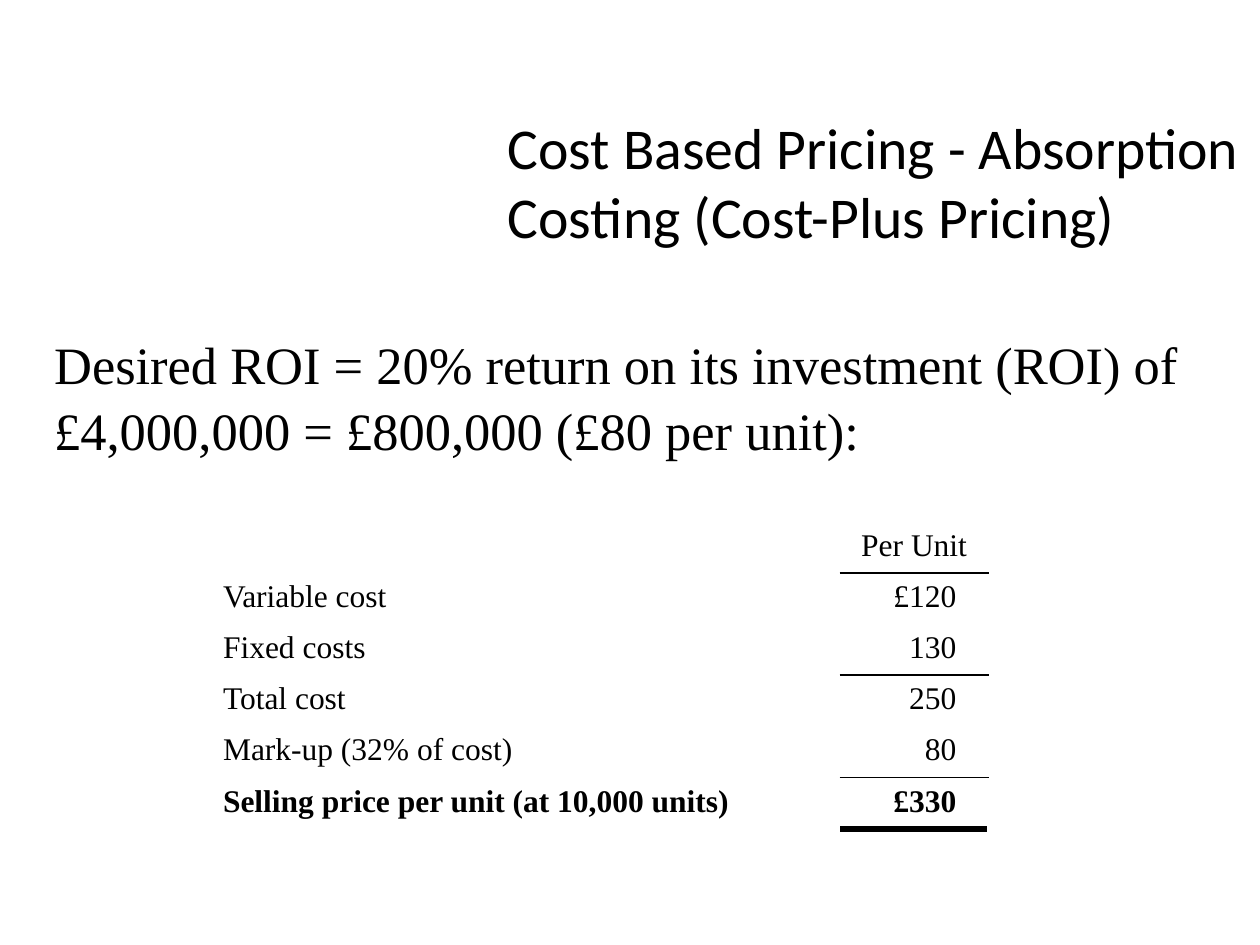
from dataclasses import dataclass

from lxml.etree import SubElement
from pptx import Presentation
from pptx.dml.color import RGBColor
from pptx.enum.text import MSO_ANCHOR, MSO_AUTO_SIZE, PP_ALIGN
from pptx.oxml.ns import qn
from pptx.util import Inches, Pt

COLOURS = {"ink": "000000"}
SERIF = "Times New Roman"


@dataclass(frozen=True)
class CostRow:
    label: str
    amount: str
    ruled_below: bool = False
    bold: bool = False


COSTS = [
    CostRow("", "Per Unit", ruled_below=True),
    CostRow("Variable cost", "£120"),
    CostRow("Fixed costs", "130", ruled_below=True),
    CostRow("Total cost", "250"),
    CostRow("Mark-up (32% of cost)", "80", ruled_below=True),
    CostRow("Selling price per unit (at 10,000 units)", "£330", bold=True),
]


def write(frame, text: str, *, size: float, font: str = SERIF, bold: bool = False,
          align=PP_ALIGN.LEFT, spacing: float = 1.0) -> None:
    paragraph = frame.paragraphs[0]
    paragraph.alignment = align
    paragraph.line_spacing = spacing
    paragraph.space_before = Pt(0)
    run = paragraph.add_run()
    run.text = text
    run.font.size = Pt(size)
    run.font.name = font
    run.font.bold = bold
    run.font.color.rgb = RGBColor.from_string(COLOURS["ink"])


def place(holder, left: float, top: float, width: float, height: float, anchor) -> None:
    holder.left, holder.top = Inches(left), Inches(top)
    holder.width, holder.height = Inches(width), Inches(height)
    frame = holder.text_frame
    frame.word_wrap = True
    frame.auto_size = MSO_AUTO_SIZE.NONE
    frame.vertical_anchor = anchor


def rule_cell(cell, side: str) -> None:
    edge = SubElement(cell._tc.get_or_add_tcPr(), qn(f"a:ln{side}"), w=str(Pt(1)))
    fill = SubElement(edge, qn("a:solidFill"))
    SubElement(fill, qn("a:srgbClr"), val=COLOURS["ink"])


def draw_costs(slide, costs: list[CostRow]) -> None:
    table = slide.shapes.add_table(len(costs), 2, Inches(1.67), Inches(4.14),
                                   Inches(6.17), Inches(2.44)).table
    table.first_row = table.horz_banding = False
    table.columns[0].width, table.columns[1].width = Inches(5), Inches(1.17)
    for index, cost in enumerate(costs):
        label, amount = table.cell(index, 0), table.cell(index, 1)
        if index and costs[index - 1].ruled_below:
            rule_cell(amount, "T")
        if cost.ruled_below:
            rule_cell(amount, "B")
        for cell in (label, amount):
            cell.fill.background()
        if cost.label:
            write(label.text_frame, cost.label, size=18, bold=cost.bold)
        if index:
            amount.margin_right = Inches(0.25)
        write(amount.text_frame, cost.amount, size=18, bold=cost.bold,
              align=PP_ALIGN.RIGHT if index else PP_ALIGN.CENTER)


def draw_line(slide, left: float, right: float, top: float, weight: float) -> None:
    line = slide.shapes.add_connector(1, Inches(left), Inches(top), Inches(right), Inches(top))
    line.line.color.rgb = RGBColor.from_string(COLOURS["ink"])
    line.line.width = Pt(weight)
    SubElement(line._element.spPr, qn("a:effectLst"))


def main() -> None:
    """Build the cost-plus pricing slide."""
    deck = Presentation()
    deck.slide_width, deck.slide_height = Inches(10), Inches(7.5)
    slide = deck.slides.add_slide(deck.slide_layouts[1])

    heading = slide.shapes.title
    place(heading, 3.93, 0.81, 6.04, 1.25, MSO_ANCHOR.MIDDLE)
    write(heading.text_frame, "Cost Based Pricing - Absorption Costing (Cost-Plus Pricing)",
          size=33, font="Calibri")

    target = slide.placeholders[1]
    place(target, 0.33, 2.56, 9.33, 1.11, MSO_ANCHOR.TOP)
    write(target.text_frame,
          "Desired ROI = 20% return on its investment (ROI) of "
          "£4,000,000 = £800,000 (£80 per unit):", size=30, spacing=1.05)
    properties = target.text_frame.paragraphs[0]._p.get_or_add_pPr()
    properties.set("marL", "0")
    properties.set("indent", "0")
    SubElement(properties, qn("a:buNone"))

    draw_costs(slide, COSTS)
    draw_line(slide, 6.67, 7.83, 6.58, 3.75)
    deck.save("out.pptx")


if __name__ == "__main__":
    main()
